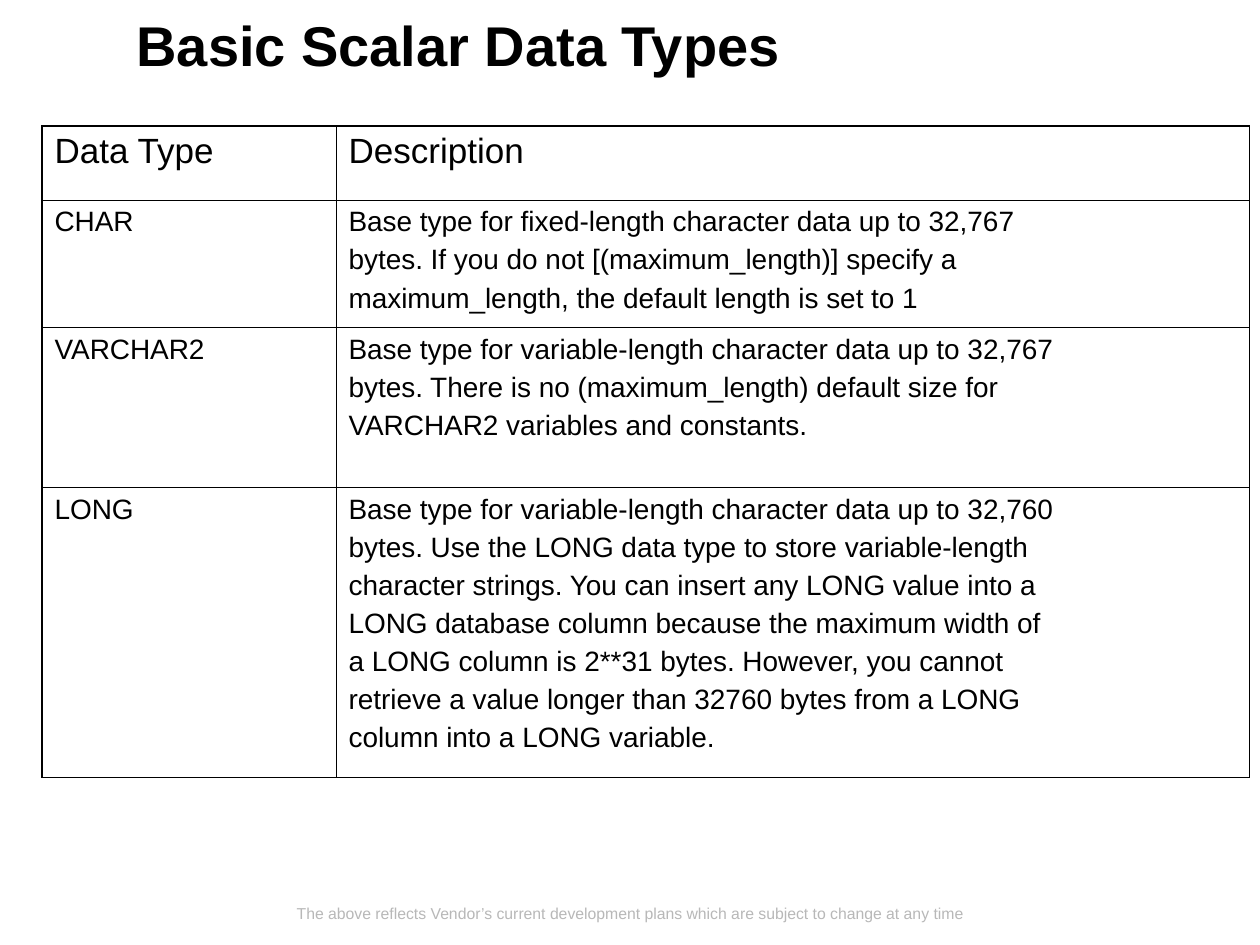
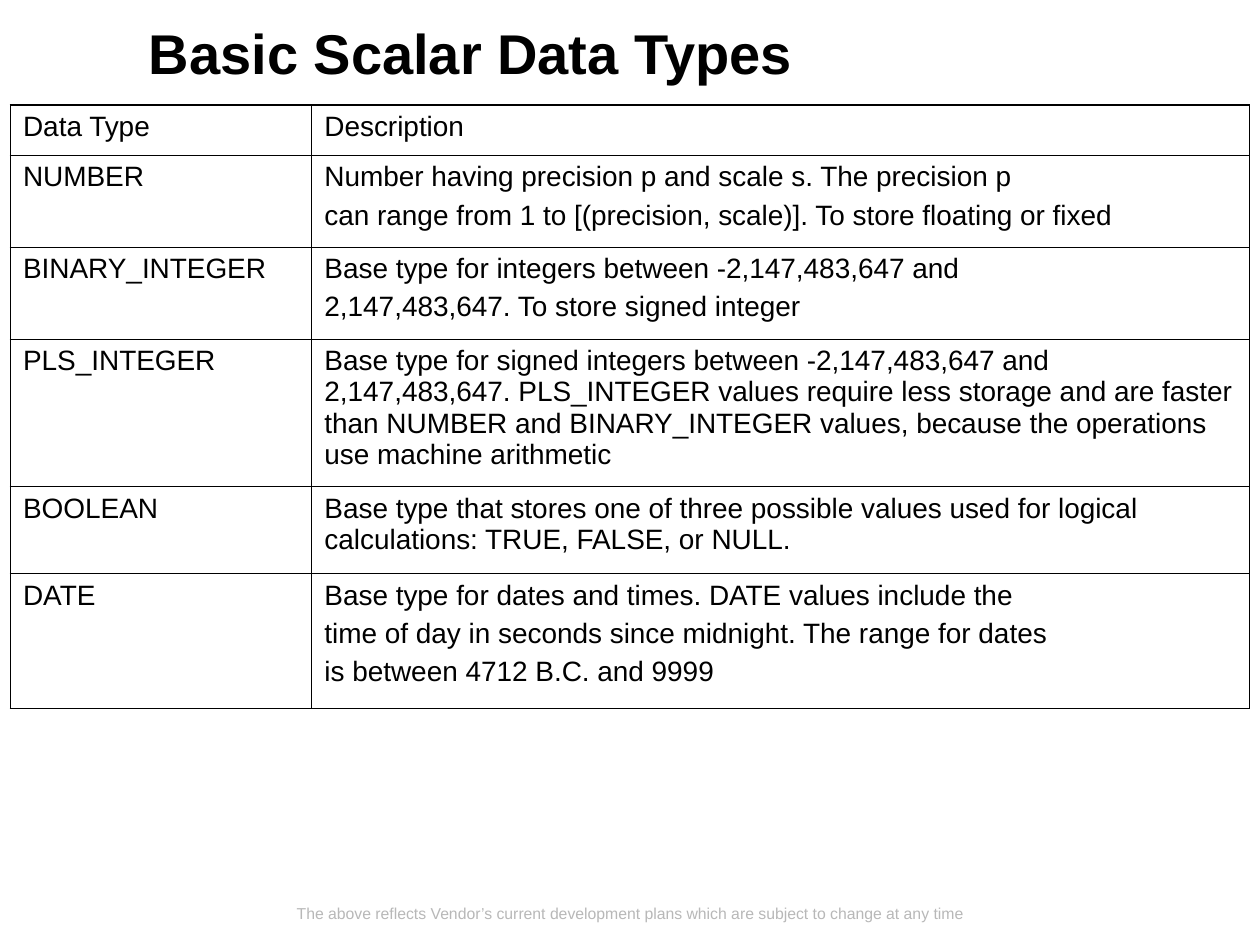
from dataclasses import dataclass

from lxml.etree import SubElement
from pptx import Presentation
from pptx.dml.color import RGBColor
from pptx.enum.text import MSO_ANCHOR, PP_ALIGN
from pptx.oxml.ns import qn
from pptx.util import Inches, Pt

SLIDE_W, SLIDE_H = Inches(10), Inches(7.5)
UNIT = SLIDE_W / 120  # the slide is a grid of 120 columns by 90 rows
FONT = "Arial"
COLORS = {"ink": "000000", "footer": "B8B8B8"}
OUTER_LINE, INNER_LINE = Pt(1.08), Pt(0.45)
BODY_SIZE = 16

TITLE = "Basic Scalar Data Types"
FOOTER = ("The above reflects Vendor’s current development plans "
          "which are subject to change at any time")
HEADER = ("Data Type", ("Description",))

TITLE_FORMAT = {"size": Pt(32), "bold": True}
FOOTER_FORMAT = {"size": Pt(9)}


@dataclass(frozen=True)
class Box:
    """Place and size in grid units."""
    left: float
    top: float
    width: float
    height: float

    def emu(self) -> tuple[int, ...]:
        return tuple(grid(v) for v in (self.left, self.top, self.width, self.height))


@dataclass(frozen=True)
class TypeRow:
    height: float
    name: str
    description: tuple[str, ...]


@dataclass(frozen=True)
class TypeSlide:
    title_box: Box
    title_inset: float
    title_anchor: MSO_ANCHOR
    left: float
    top: float
    col_widths: tuple[float, float]
    header_height: float
    header_size: int
    rows: tuple[TypeRow, ...]


FOOTER_BOX = Box(2, 86, 116, 2)

SLIDES = (
    TypeSlide(
        Box(13, 1, 101, 15), 0, MSO_ANCHOR.TOP, 4, 12, (28, 87), 7.08, 20,
        (
            TypeRow(12.12, "CHAR", (
                "Base type for fixed-length character data up to 32,767",
                "bytes. If you do not [(maximum_length)] specify a",
                "maximum_length, the default length is set to 1")),
            TypeRow(15.24, "VARCHAR2", (
                "Base type for variable-length character data up to 32,767",
                "bytes. There is no (maximum_length) default size for",
                "VARCHAR2 variables and constants.")),
            TypeRow(27.48, "LONG", (
                "Base type for variable-length character data up to 32,760",
                "bytes. Use the LONG data type to store variable-length",
                "character strings. You can insert any LONG value into a",
                "LONG database column because the maximum width of",
                "a LONG column is 2**31 bytes. However, you cannot",
                "retrieve a value longer than 32760 bytes from a LONG",
                "column into a LONG variable.")),
        )),
    TypeSlide(
        Box(13, 0, 101, 10), 1.2, MSO_ANCHOR.MIDDLE, 1, 10, (28.7, 89.3), 4.8, BODY_SIZE,
        (
            TypeRow(8.76, "NUMBER", (
                "Number having precision p and scale s. The precision p",
                "can range from 1 to [(precision, scale)]. To store floating or fixed")),
            TypeRow(8.76, "BINARY_INTEGER", (
                "Base type for integers between -2,147,483,647 and",
                "2,147,483,647. To store signed integer")),
            TypeRow(14.04, "PLS_INTEGER", (
                "Base type for signed integers between -2,147,483,647 and "
                "2,147,483,647. PLS_INTEGER values require less storage and are faster "
                "than NUMBER and BINARY_INTEGER values, because the operations "
                "use machine arithmetic",)),
            TypeRow(8.28, "BOOLEAN", (
                "Base type that stores one of three possible values used for logical "
                "calculations: TRUE, FALSE, or NULL.",)),
            TypeRow(12.84, "DATE", (
                "Base type for dates and times. DATE values include the",
                "time of day in seconds since midnight. The range for dates",
                "is between 4712 B.C. and 9999")),
        )),
)


def grid(units: float) -> int:
    return round(units * UNIT)


def write_paragraphs(tf, lines: tuple[str, ...], color: str, font_format: dict,
                     align: PP_ALIGN = PP_ALIGN.LEFT) -> None:
    for i, line in enumerate(lines):
        p = tf.paragraphs[0] if i == 0 else tf.add_paragraph()
        p.alignment = align
        if i:
            p.space_before = Pt(4)
        r = p.add_run()
        r.text = line
        for key, value in {"name": FONT, **font_format}.items():
            setattr(r.font, key, value)
        r.font.color.rgb = RGBColor.from_string(COLORS[color])


def add_label(s, box: Box, text: str, color: str, font_format: dict,
              anchor: MSO_ANCHOR, inset: float = 0,
              align: PP_ALIGN = PP_ALIGN.LEFT) -> None:
    tf = s.shapes.add_textbox(*box.emu()).text_frame
    frame_format = {
        "word_wrap": True, "vertical_anchor": anchor,
        "margin_left": grid(inset), "margin_right": grid(inset),
        "margin_top": grid(inset / 2), "margin_bottom": grid(inset / 2),
    }
    for key, value in frame_format.items():
        setattr(tf, key, value)
    write_paragraphs(tf, (text,), color, font_format, align)


def set_borders(cell, outer_sides: dict[str, bool]) -> None:
    """Draw the four cell borders, heavier on the sides that bound the table."""
    tc_pr = cell._tc.get_or_add_tcPr()
    for side, is_outer in outer_sides.items():
        ln = SubElement(tc_pr, qn(f"a:ln{side}"),
                        w=str(OUTER_LINE if is_outer else INNER_LINE))
        fill = SubElement(ln, qn("a:solidFill"))
        SubElement(fill, qn("a:srgbClr"), val=COLORS["ink"])


def add_type_table(s, spec: TypeSlide) -> None:
    rows = (TypeRow(spec.header_height, *HEADER), *spec.rows)
    box = Box(spec.left, spec.top, sum(spec.col_widths), sum(r.height for r in rows))
    table = s.shapes.add_table(len(rows), len(spec.col_widths), *box.emu()).table
    table.first_row = table.horz_banding = False
    for column, width in zip(table.columns, spec.col_widths):
        column.width = grid(width)
    for i, row in enumerate(rows):
        table.rows[i].height = grid(row.height)
        size = BODY_SIZE if i else spec.header_size
        for j, lines in enumerate(((row.name,), row.description)):
            cell = table.cell(i, j)
            set_borders(cell, {"L": j == 0, "R": j == 1,
                               "T": i == 0, "B": i == len(rows) - 1})
            cell.fill.background()
            write_paragraphs(cell.text_frame, lines, "ink", {"size": Pt(size)})


def add_type_slide(prs, spec: TypeSlide) -> None:
    s = prs.slides.add_slide(prs.slide_layouts[6])
    add_label(s, FOOTER_BOX, FOOTER, "footer", FOOTER_FORMAT,
              MSO_ANCHOR.MIDDLE, align=PP_ALIGN.CENTER)
    add_label(s, spec.title_box, TITLE, "ink", TITLE_FORMAT,
              spec.title_anchor, spec.title_inset)
    add_type_table(s, spec)


def main() -> None:
    prs = Presentation()
    prs.slide_width, prs.slide_height = SLIDE_W, SLIDE_H
    for spec in SLIDES:
        add_type_slide(prs, spec)
    prs.save("out.pptx")


if __name__ == "__main__":
    main()
